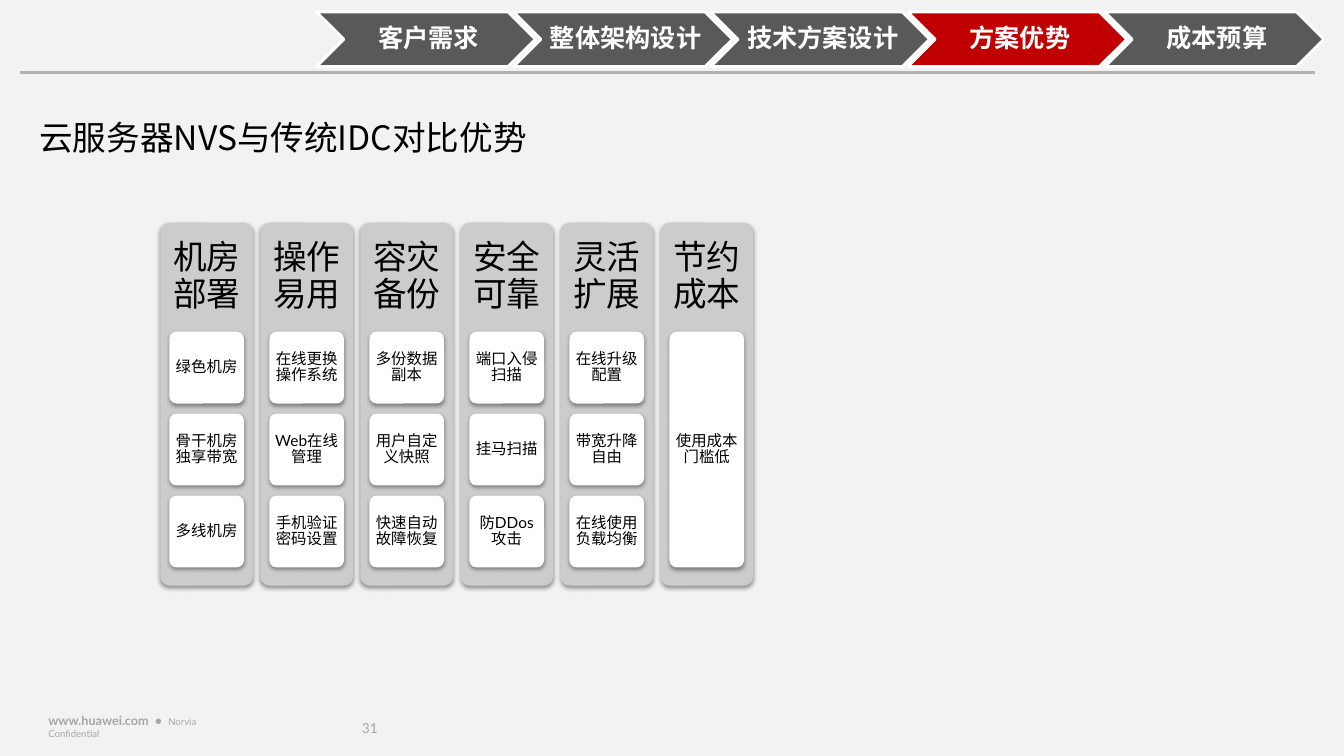
from dataclasses import dataclass

from lxml.etree import SubElement
from pptx import Presentation
from pptx.dml.color import RGBColor
from pptx.enum.shapes import MSO_CONNECTOR, MSO_SHAPE
from pptx.enum.text import MSO_ANCHOR as ANCHOR, MSO_AUTO_SIZE, PP_ALIGN as ALIGN
from pptx.oxml.ns import qn
from pptx.util import Inches, Pt


@dataclass(frozen=True)
class Theme:
    latin: str = "Lato"
    cjk: str = "Noto Sans CJK SC"
    back: str = "F2F2F2"
    text: str = "000000"
    white: str = "FFFFFF"
    step: str = "595959"
    active: str = "C00000"
    rule: str = "B2B2B2"
    column: str = "CCCCCC"
    muted: str = "A6A6A6"
    title_size: float = 24
    step_size: float = 18
    card_size: float = 11
    site_size: float = 9
    note_size: float = 6.8
    number_size: float = 9.8


class Deck:
    """Holds the theme and the current slide."""

    def __init__(self, prs, theme):
        self.theme = theme
        self.slide = prs.slides.add_slide(prs.slide_layouts[5])
        self.paint(self.slide.background.fill, theme.back)

    def paint(self, fill, color):
        fill.solid()
        fill.fore_color.rgb = RGBColor.from_string(color)

    def style(self, r, size, color, bold=False, latin=None):
        font = r.font
        font.size, font.bold = Pt(size), bold
        font.color.rgb = RGBColor.from_string(color)
        font.name = latin or self.theme.latin
        ea = SubElement(r._r.get_or_add_rPr(), qn("a:ea"))
        ea.set("typeface", self.theme.cjk)

    def frame(self, sp, insets, anchor):
        tf = sp.text_frame
        tf.word_wrap, tf.auto_size = True, MSO_AUTO_SIZE.NONE
        tf.vertical_anchor = anchor
        (tf.margin_left, tf.margin_top,
         tf.margin_right, tf.margin_bottom) = map(Inches, insets)
        return tf

    def title(self, text, box):
        sp = self.slide.shapes.title
        sp.left, sp.top, sp.width, sp.height = map(Inches, box)
        tf = self.frame(sp, (0.1, 0.08, 0.1, 0.05), ANCHOR.TOP)
        tf.text = text
        p = tf.paragraphs[0]
        p.alignment, p.line_spacing = ALIGN.LEFT, Pt(28.8)
        self.style(p.runs[0], self.theme.title_size, self.theme.text,
                   latin=self.theme.cjk)

    def shape(self, kind, box, fill, text, insets, anchor=ANCHOR.MIDDLE, **font):
        sp = self.slide.shapes.add_shape(kind, *map(Inches, box))
        self.paint(sp.fill, fill)
        sp.line.fill.background()
        sp.shadow.inherit = False
        tf = self.frame(sp, insets, anchor)
        tf.text = text
        p = tf.paragraphs[0]
        p.alignment, p.line_spacing = ALIGN.CENTER, 0.9
        self.style(p.runs[0], **font)
        return sp

    def step(self, text, box, active):
        th = self.theme
        sp = self.shape(MSO_SHAPE.CHEVRON, box, th.active if active else th.step,
                        text, (0.08, 0.03, 0.03, 0.03), size=th.step_size,
                        color=th.white, bold=True, latin=th.cjk)
        sp.line.color.rgb = RGBColor.from_string(th.white)
        sp.line.width = Pt(2)

    def panel(self, text, box, fill, size, insets, corner, anchor=ANCHOR.MIDDLE):
        sp = self.shape(MSO_SHAPE.ROUNDED_RECTANGLE, box, fill, text, insets,
                        anchor, size=size, color=self.theme.text)
        sp.adjustments[0] = corner
        # Soft shadow straight below the panel
        effects = sp.element.spPr.find(qn("a:effectLst"))
        shadow = SubElement(effects, qn("a:outerShdw"), blurRad=str(Pt(3.1)),
                            dist=str(Pt(1.6)), dir="5400000", rotWithShape="0")
        black = SubElement(shadow, qn("a:srgbClr"), val=self.theme.text)
        SubElement(black, qn("a:alpha"), val="38000")

    def rule(self, x1, x2, y):
        line = self.slide.shapes.add_connector(
            MSO_CONNECTOR.STRAIGHT, *map(Inches, (x1, y, x2, y)))
        line.line.color.rgb = RGBColor.from_string(self.theme.rule)
        line.line.width = Pt(2.25)
        SubElement(line.element.spPr, qn("a:effectLst"))

    def note(self, box, insets, parts, spacing=1.0):
        sp = self.slide.shapes.add_textbox(*map(Inches, box))
        p = self.frame(sp, insets, ANCHOR.MIDDLE).paragraphs[0]
        p.line_spacing = spacing
        for text, size, bold in parts:
            r = p.add_run()
            r.text = text
            self.style(r, size, self.theme.muted, bold)


STEPS = ["客户需求", "整体架构设计", "技术方案设计", "方案优势", "成本预算"]
ACTIVE_STEP = "方案优势"
ADVANTAGES = {
    "机房部署": ["绿色机房", "骨干机房独享带宽", "多线机房"],
    "操作易用": ["在线更换操作系统", "Web在线管理", "手机验证密码设置"],
    "容灾备份": ["多份数据副本", "用户自定义快照", "快速自动故障恢复"],
    "安全可靠": ["端口入侵扫描", "挂马扫描", "防DDos攻击"],
    "灵活扩展": ["在线升级配置", "带宽升降自由", "在线使用负载均衡"],
    "节约成本": ["使用成本门槛低"],
}


def main():
    prs = Presentation()
    prs.slide_width, prs.slide_height = Inches(13.33), Inches(7.5)
    theme = Theme()
    deck = Deck(prs, theme)

    # Footer
    deck.note((3.59, 7.13, 0.4, 0.21), (0, 0, 0, 0),
              [("31", theme.number_size, False)], 0.85)
    deck.note((0.41, 7.09, 2.09, 0.23), (0.07, 0.04, 0.07, 0.04),
              [("www.huawei.com  •  ", theme.site_size, True),
               ("Norvia Confidential", theme.note_size, False)])

    # Progress chevrons, evenly spread
    step_left, step_last = 3.14, 10.96
    step_pitch = (step_last - step_left) / (len(STEPS) - 1)
    for i, name in enumerate(STEPS):
        deck.step(name, (step_left + i * step_pitch, 0.12, 2.17, 0.54),
                  name == ACTIVE_STEP)
    deck.rule(0.2, 13.04, 0.72)

    deck.title("云服务器NVS与传统IDC对比优势", (0.29, 1.08, 5.2, 0.5))

    # Advantage columns; the cards share the height under each heading
    col_left, col_last, col_top, col_w, col_h = 1.59, 6.55, 2.21, 0.92, 3.6
    col_pitch = (col_last - col_left) / (len(ADVANTAGES) - 1)
    head_h, cards_h, card_w, gap = 1.08, 2.34, 0.74, 0.1
    for i, (heading, cards) in enumerate(ADVANTAGES.items()):
        x = col_left + i * col_pitch
        deck.panel(heading, (x, col_top, col_w, col_h), theme.column,
                   theme.title_size, (0.07, 0.07, 0.07, col_h - head_h + 0.07),
                   0.1, ANCHOR.MIDDLE)
        card_h = (cards_h - gap * (len(cards) - 1)) / len(cards)
        for j, text in enumerate(cards):
            y = col_top + head_h + j * (card_h + gap)
            deck.panel(text, (x + (col_w - card_w) / 2, y, card_w, card_h),
                       theme.white, theme.card_size, (0.03, 0.02, 0.03, 0.02), 0.1)

    prs.save("out.pptx")


if __name__ == "__main__":
    main()
